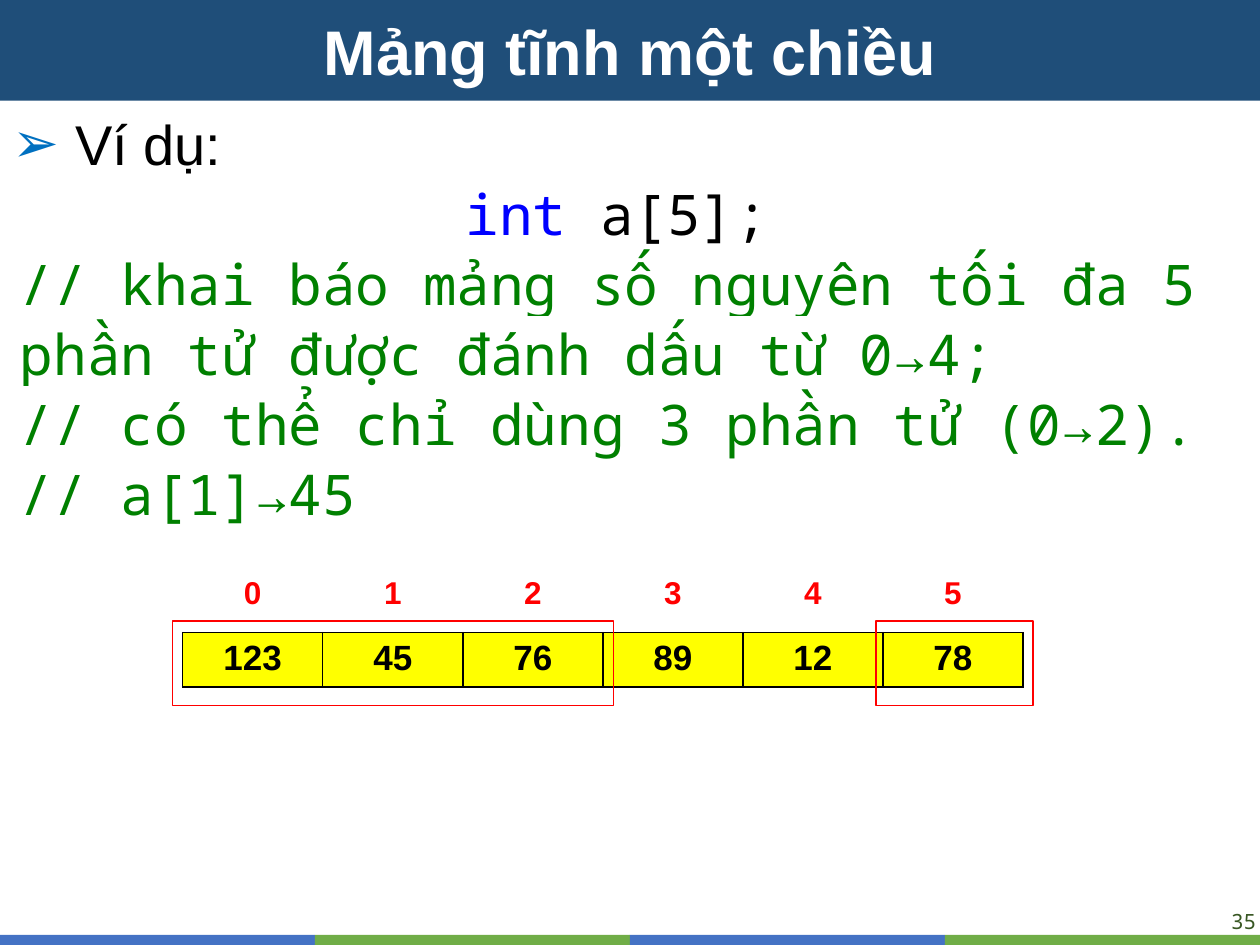
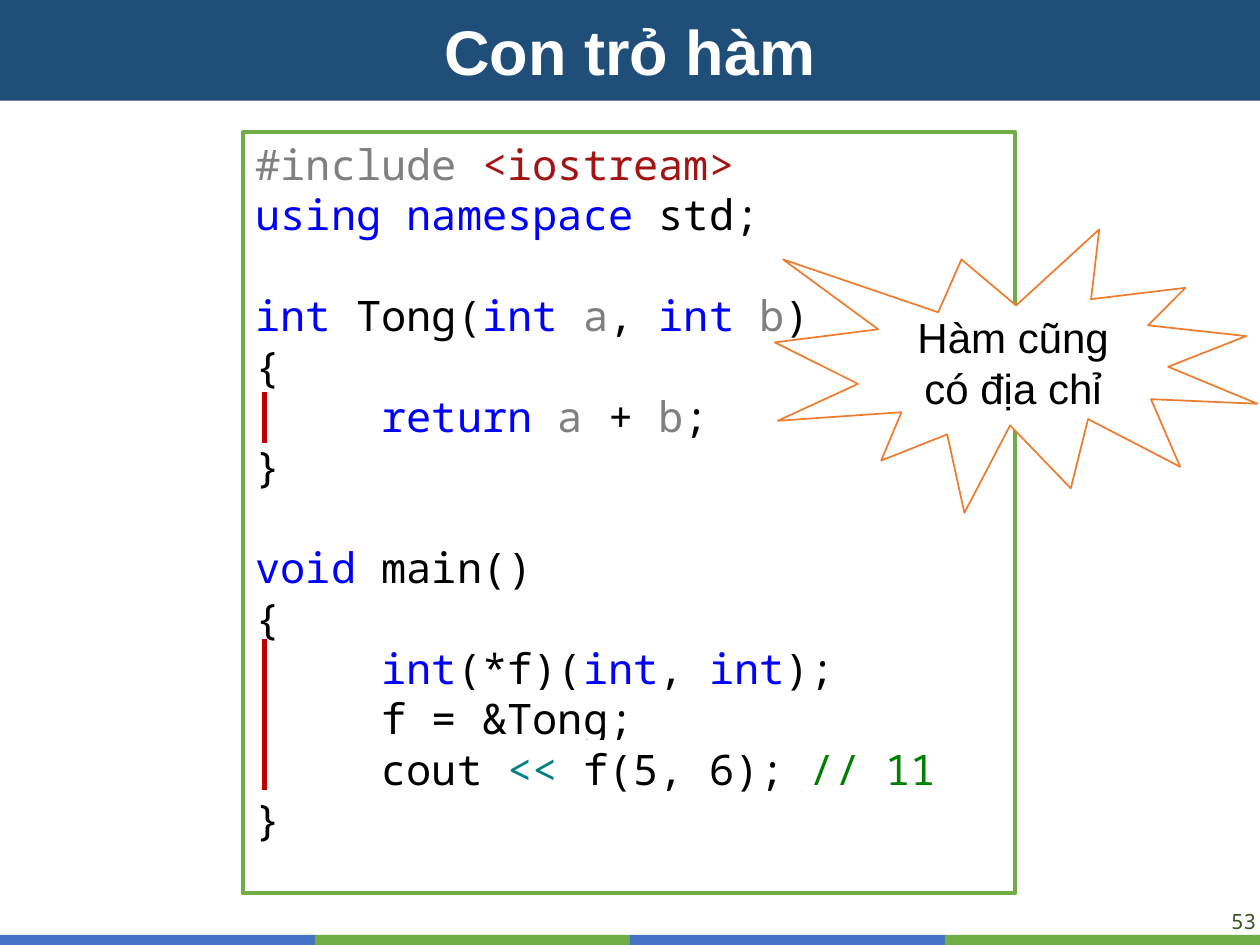
from lxml.etree import SubElement
from pptx import Presentation
from pptx.dml.color import RGBColor
from pptx.enum.shapes import MSO_CONNECTOR, MSO_SHAPE
from pptx.enum.text import MSO_ANCHOR, PP_ALIGN
from pptx.oxml import parse_xml
from pptx.oxml.ns import nsdecls, qn
from pptx.util import Inches, Pt

SANS, MONO = "Arial", "Noto Sans Mono"
WHITE, BLACK, RED = "FFFFFF", "000000", "FF0000"
BLUE, GREEN = "4472C4", "70AD47"
NAVY, DARK_GREEN, ORANGE, YELLOW = "1F4E79", "385723", "ED7D31", "FFFF00"
BULLET, SCOPE = "0070C0", "C00000"
KEYWORD, COMMENT, GREY, STRING, OPERATOR = "0000FF", "008000", "808080", "A31515", "008080"
SLIDE_W, SLIDE_H, TITLE_H = 10, 7.5, 0.8


def rgb(color):
    return RGBColor.from_string(color)


def box_of(*lengths):
    return [Inches(length) for length in lengths]


def write(paragraph, text, size=24, font=SANS, color=BLACK, bold=False, highlight=None):
    run = paragraph.add_run()
    run.text = text
    run.font.size = Pt(size)
    run.font.name = font
    run.font.bold = bold
    run.font.color.rgb = rgb(color)
    if highlight:
        run.font._element.find(qn("a:solidFill")).addnext(parse_xml(
            f'<a:highlight {nsdecls("a")}><a:srgbClr val="{highlight}"/></a:highlight>'))


def write_code(paragraph, tokens, size):
    for text, color in tokens:
        write(paragraph, text, size=size, font=MONO, color=color, highlight=WHITE)


def indent(paragraph, left, first=0):
    properties = paragraph._p.get_or_add_pPr()
    properties.set("marL", str(Inches(left)))
    properties.set("indent", str(Inches(first)))


def add_bullet(paragraph, char, color):
    properties = paragraph._p.get_or_add_pPr()
    SubElement(SubElement(properties, qn("a:buClr")), qn("a:srgbClr"), val=color)
    SubElement(properties, qn("a:buFont"), typeface=SANS)
    SubElement(properties, qn("a:buChar"), char=char)


def add_block(slide, box, kind=MSO_SHAPE.RECTANGLE, fill=None, line=None, width=1):
    block = slide.shapes.add_shape(kind, *box_of(*box))
    block.shadow.inherit = False
    if fill:
        block.fill.solid()
        block.fill.fore_color.rgb = rgb(fill)
    else:
        block.fill.background()
    if line:
        block.line.color.rgb = rgb(line)
        block.line.width = Pt(width)
    else:
        block.line.fill.background()
    return block


def add_label(block, text, **style):
    block.text_frame.word_wrap = True
    block.text_frame.vertical_anchor = MSO_ANCHOR.MIDDLE
    paragraph = block.text_frame.paragraphs[0]
    paragraph.alignment = PP_ALIGN.CENTER
    write(paragraph, text, **style)


def new_slide(deck, title, number):
    """Add a slide with the title band, footer stripe and page number."""
    slide = deck.slides.add_slide(deck.slide_layouts[6])
    stripe_w, stripe_h = SLIDE_W / 4, 0.08
    for i, color in enumerate([BLUE, GREEN] * 2):
        add_block(slide, (i * stripe_w, SLIDE_H - stripe_h, stripe_w, stripe_h), fill=color)
    footer = slide.shapes.add_textbox(*box_of(8.69, 7.21, 1.31, 0.2)).text_frame
    footer.word_wrap = True
    footer.margin_top = footer.margin_bottom = 0
    footer.margin_left = footer.margin_right = Inches(0.03)
    footer.paragraphs[0].alignment = PP_ALIGN.RIGHT
    write(footer.paragraphs[0], number, size=12, font=MONO, color=DARK_GREEN)
    band = add_block(slide, (0, 0, SLIDE_W, TITLE_H), fill=NAVY)
    add_label(band, title, size=36, color=WHITE, bold=True)
    return slide


def add_example(slide, box, heading, code):
    frame = slide.shapes.add_textbox(*box_of(*box)).text_frame
    frame.word_wrap = True
    intro = frame.paragraphs[0]
    intro.line_spacing = Pt(40)
    indent(intro, 0.5, -0.5)
    add_bullet(intro, "➢", BULLET)
    write(intro, heading, size=32)
    for align, tokens in code:
        paragraph = frame.add_paragraph()
        paragraph.alignment = align
        paragraph.line_spacing = Pt(40)
        indent(paragraph, 0.06)
        write_code(paragraph, tokens, 32)


def add_borders(cell, color):
    properties = cell._tc.get_or_add_tcPr()
    for i, side in enumerate(("lnL", "lnR", "lnT", "lnB")):
        properties.insert(i, parse_xml(
            f'<a:{side} {nsdecls("a")} w="{Pt(1)}"><a:solidFill>'
            f'<a:srgbClr val="{color}"/></a:solidFill></a:{side}>'))


def add_array_row(slide, box, values, fill=None, border=None, **style):
    table = slide.shapes.add_table(1, len(values), *box_of(*box)).table
    table.first_row = table.horz_banding = False
    for cell, value in zip(table.rows[0].cells, values):
        if border:
            add_borders(cell, border)
        if fill:
            cell.fill.solid()
            cell.fill.fore_color.rgb = rgb(fill)
        else:
            cell.fill.background()
        paragraph = cell.text_frame.paragraphs[0]
        paragraph.alignment = PP_ALIGN.CENTER
        write(paragraph, value, bold=True, **style)


def add_array(slide, left, top, width, values):
    """Draw the cells with their indices above, and frame two parts of them."""
    add_array_row(slide, (left, top + 0.5, width, 0.43), values,
                  fill=YELLOW, border=BLACK, size=20)
    add_array_row(slide, (left, top, width, 0.41), [str(i) for i in range(len(values))],
                  size=18, color=RED)
    for offset, frame_w in ((5.5, 1.25), (-0.08, 3.5)):
        add_block(slide, (left + offset, top + 0.41, frame_w, 0.67), line=RED)


def add_listing(slide, box, code, scopes):
    """Draw framed code; scopes are the (start, end) of the bars, from the top."""
    left, top = box[:2]
    panel = add_block(slide, box, line=GREEN, width=2.25)
    frame = panel.text_frame
    frame.word_wrap = True
    frame.vertical_anchor = MSO_ANCHOR.TOP
    for i, (depth, gap, tokens) in enumerate(code):
        paragraph = frame.add_paragraph() if i else frame.paragraphs[0]
        paragraph.alignment = PP_ALIGN.LEFT
        paragraph.space_before = Pt(gap)
        indent(paragraph, depth)
        write_code(paragraph, tokens, 24)

    def add_scopes():
        x = left + 0.17
        for start, end in scopes:
            bar = slide.shapes.add_connector(
                MSO_CONNECTOR.STRAIGHT, *box_of(x, top + start, x, top + end))
            bar.line.color.rgb = rgb(SCOPE)
            bar.line.width = Pt(3)
            SubElement(bar._element.spPr, qn("a:effectLst"))

    add_scopes()


def build_array_slide(deck):
    slide = new_slide(deck, "Mảng tĩnh một chiều", "35")
    add_example(slide, (0, TITLE_H, SLIDE_W, SLIDE_H - TITLE_H), "Ví dụ:", [
        (PP_ALIGN.CENTER, [("int", KEYWORD), (" a[5]; ", BLACK)]),
        (PP_ALIGN.LEFT, [("// khai báo mảng số nguyên tối đa 5 phần tử "
                          "được đánh dấu từ 0→4;", COMMENT)]),
        (PP_ALIGN.LEFT, [("// có thể chỉ dùng 3 phần tử (0→2).", COMMENT)]),
        (PP_ALIGN.LEFT, [("// a[1]→45", COMMENT)]),
    ])
    add_array(slide, 1.45, 4.52, 6.67, ["123", "45", "76", "89", "12", "78"])


def build_pointer_slide(deck):
    slide = new_slide(deck, "Con trỏ hàm", "53")
    blank_line = 28.8
    integer = ("int", KEYWORD)
    code = [
        (0, 0, [("#include", GREY), (" ", BLACK), ("<iostream>", STRING)]),
        (0, 0, [("using", KEYWORD), (" ", BLACK), ("namespace", KEYWORD), (" std;", BLACK)]),
        (0, blank_line, [integer, (" Tong(", BLACK), integer, (" ", BLACK), ("a", GREY),
                         (", ", BLACK), integer, (" ", BLACK), ("b", GREY), (")", BLACK)]),
        (0, 0, [("{", BLACK)]),
        (1, 0, [("return", KEYWORD), (" ", BLACK), ("a", GREY), (" + ", BLACK),
                ("b", GREY), (";", BLACK)]),
        (0, 0, [("}", BLACK)]),
        (0, blank_line, [("void", KEYWORD), (" main()", BLACK)]),
        (0, 0, [("{", BLACK)]),
        (1, 0, [integer, ("(*f)(", BLACK), integer, (", ", BLACK), integer, (");", BLACK)]),
        (1, 0, [("f = &Tong;", BLACK)]),
        (1, 0, [("cout ", BLACK), ("<<", OPERATOR), (" f(5, 6); ", BLACK),
                ("// 11", COMMENT)]),
        (0, 0, [("}", BLACK)]),
    ]
    add_listing(slide, (1.93, 1.05, 6.13, 6.04), code, [(2.06, 2.47), (4.02, 5.22)])
    burst = add_block(slide, (6.15, 1.82, 3.83, 2.25), MSO_SHAPE.EXPLOSION1,
                      fill=WHITE, line=ORANGE)
    add_label(burst, "Hàm cũng có địa chỉ")


def main():
    deck = Presentation()
    deck.slide_width, deck.slide_height = box_of(SLIDE_W, SLIDE_H)
    build_array_slide(deck)
    build_pointer_slide(deck)
    deck.save("out.pptx")


if __name__ == "__main__":
    main()
